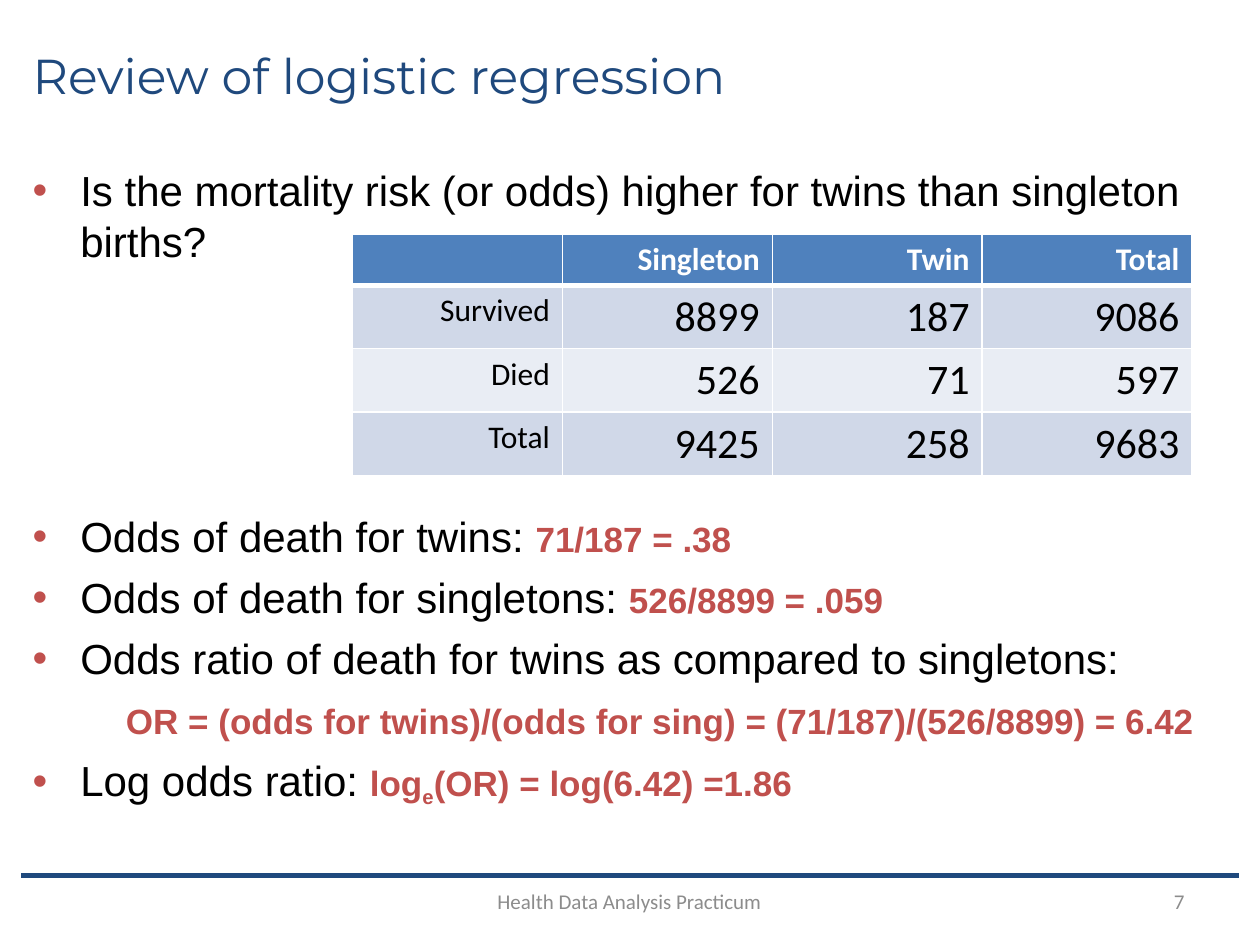
from lxml.etree import SubElement
from pptx import Presentation
from pptx.dml.color import RGBColor
from pptx.enum.shapes import MSO_CONNECTOR as Connector
from pptx.enum.text import MSO_ANCHOR as Anchor, PP_ALIGN as Align
from pptx.oxml.ns import qn
from pptx.util import Cm, Pt

NAVY = RGBColor(0x1F, 0x49, 0x7D)
RED = RGBColor(0xC0, 0x50, 0x4D)
BLACK = RGBColor(0, 0, 0)
WHITE = RGBColor(0xFF, 0xFF, 0xFF)
GRAY = RGBColor(0x8C, 0x8C, 0x8C)
HEADER_BLUE = RGBColor(0x4F, 0x81, 0xBD)
BANDS = [RGBColor(0xD0, 0xD8, 0xE8), RGBColor(0xE9, 0xED, 0xF4)]

TITLE = "Review of logistic regression"
FOOTER = "Health Data Analysis Practicum"
PAGE_NUMBER = "7"
QUESTION = "Is the mortality risk (or odds) higher for twins than singleton births?"
FORMULA = "OR = (odds for twins)/(odds for sing) = (71/187)/(526/8899) = 6.42"
# Prompt, answer, points of space above
ODDS = [
    ("Odds of death for twins: ", "71/187 = .38", 140),
    ("Odds of death for singletons: ", "526/8899 = .059", 6),
    ("Odds ratio of death for twins as compared to singletons:", "", 6),
]
LOG_PROMPT = "Log odds ratio: "
LOG_ANSWER = [("log", 0), ("e", -25000), ("(OR) = log(6.42) =1.86", 0)]
BIRTHS = [
    ("", "Singleton", "Twin", "Total"),
    ("Survived", "8899", "187", "9086"),
    ("Died", "526", "71", "597"),
    ("Total", "9425", "258", "9683"),
]
COLUMN_WIDTH = Cm(4.23)
ROW_HEIGHTS = [Cm(1.03)] + [Cm(1.28)] * 3
INDENT = Cm(0.96)


def add_text(para, text, size=24, font="Arial", color=BLACK, bold=False, baseline=0):
    span = para.add_run()
    span.text = text
    span.font.size = Pt(size)
    span.font.name = font
    span.font.bold = bold
    span.font.color.rgb = color
    if baseline:
        span.font._element.set("baseline", str(baseline))


def add_answer(para, text, **style):
    add_text(para, text, size=20, color=RED, bold=True, **style)


def add_box(page, left, top, width, height, anchor=Anchor.MIDDLE):
    frame = page.shapes.add_textbox(Cm(left), Cm(top), Cm(width), Cm(height)).text_frame
    frame.word_wrap = True
    frame.vertical_anchor = anchor
    return frame


def make_bullet(para, space=6):
    para.space_before = Pt(space)
    props = para._p.get_or_add_pPr()
    props.set("marL", str(INDENT))
    props.set("indent", str(-INDENT))
    color = SubElement(props, qn("a:buClr"))
    SubElement(color, qn("a:srgbClr"), val=str(RED))
    SubElement(props, qn("a:buFont"), typeface="Arial")
    SubElement(props, qn("a:buChar"), char="•")


def add_body(page):
    frame = add_box(page, 0.41, 3.2, 24.43, 14.07, anchor=Anchor.TOP)
    para = frame.paragraphs[0]
    make_bullet(para)
    add_text(para, QUESTION)
    for prompt, answer, space in ODDS:
        para = frame.add_paragraph()
        make_bullet(para, space)
        add_text(para, prompt)
        if answer:
            add_answer(para, answer)
    para = frame.add_paragraph()
    para.space_before, para.space_after = Pt(9.6), Pt(1)
    para._p.get_or_add_pPr().set("marL", str(Cm(1.88)))
    add_answer(para, FORMULA)
    para = frame.add_paragraph()
    make_bullet(para)
    add_text(para, LOG_PROMPT)
    for text, baseline in LOG_ANSWER:
        add_answer(para, text, baseline=baseline)


def set_borders(cell, bottom=1):
    props = cell._tc.get_or_add_tcPr()
    widths = {"a:lnL": 1, "a:lnR": 1, "a:lnT": 1, "a:lnB": bottom}
    for place, (tag, width) in enumerate(widths.items()):
        line = SubElement(props, qn(tag), w=str(Pt(width)))
        fill = SubElement(line, qn("a:solidFill"))
        SubElement(fill, qn("a:srgbClr"), val=str(WHITE))
        props.insert(place, line)


def add_births_table(page):
    rows, columns = len(BIRTHS), len(BIRTHS[0])
    table = page.shapes.add_table(rows, columns, Cm(7.11), Cm(4.72),
                                  COLUMN_WIDTH * columns, sum(ROW_HEIGHTS)).table
    for column in table.columns:
        column.width = COLUMN_WIDTH
    for r, values in enumerate(BIRTHS):
        table.rows[r].height = ROW_HEIGHTS[r]
        header = r == 0
        for c, value in enumerate(values):
            cell = table.cell(r, c)
            cell.fill.solid()
            cell.fill.fore_color.rgb = HEADER_BLUE if header else BANDS[(r - 1) % 2]
            set_borders(cell, bottom=3 if header else 1)
            para = cell.text_frame.paragraphs[0]
            para.alignment = Align.RIGHT
            if value:
                add_text(para, value, size=18 if header or c == 0 else 24, font="Calibri",
                         color=WHITE if header else BLACK, bold=header)


def add_footer(page):
    rule = page.shapes.add_connector(Connector.STRAIGHT, Cm(0.43), Cm(17.65), Cm(24.97), Cm(17.65))
    rule.line.color.rgb = NAVY
    rule.line.width = Pt(2.5)
    SubElement(rule._element.spPr, qn("a:effectLst"))
    for text, left, width, align in [(FOOTER, 7.19, 11, Align.CENTER),
                                     (PAGE_NUMBER, 18.21, 5.92, Align.RIGHT)]:
        para = add_box(page, left, 17.65, width, 1.02).paragraphs[0]
        para.alignment = align
        add_text(para, text, size=12, font="Calibri", color=GRAY)


def main():
    deck = Presentation()
    deck.slide_width, deck.slide_height = Cm(25.4), Cm(19.05)
    page = deck.slides.add_slide(deck.slide_layouts[6])
    title = add_box(page, 0.41, 0.36, 24.43, 2.29)
    add_text(title.paragraphs[0], TITLE, size=28, font="Montserrat", color=NAVY)
    add_body(page)
    add_footer(page)
    add_births_table(page)
    deck.save("out.pptx")


if __name__ == "__main__":
    main()
